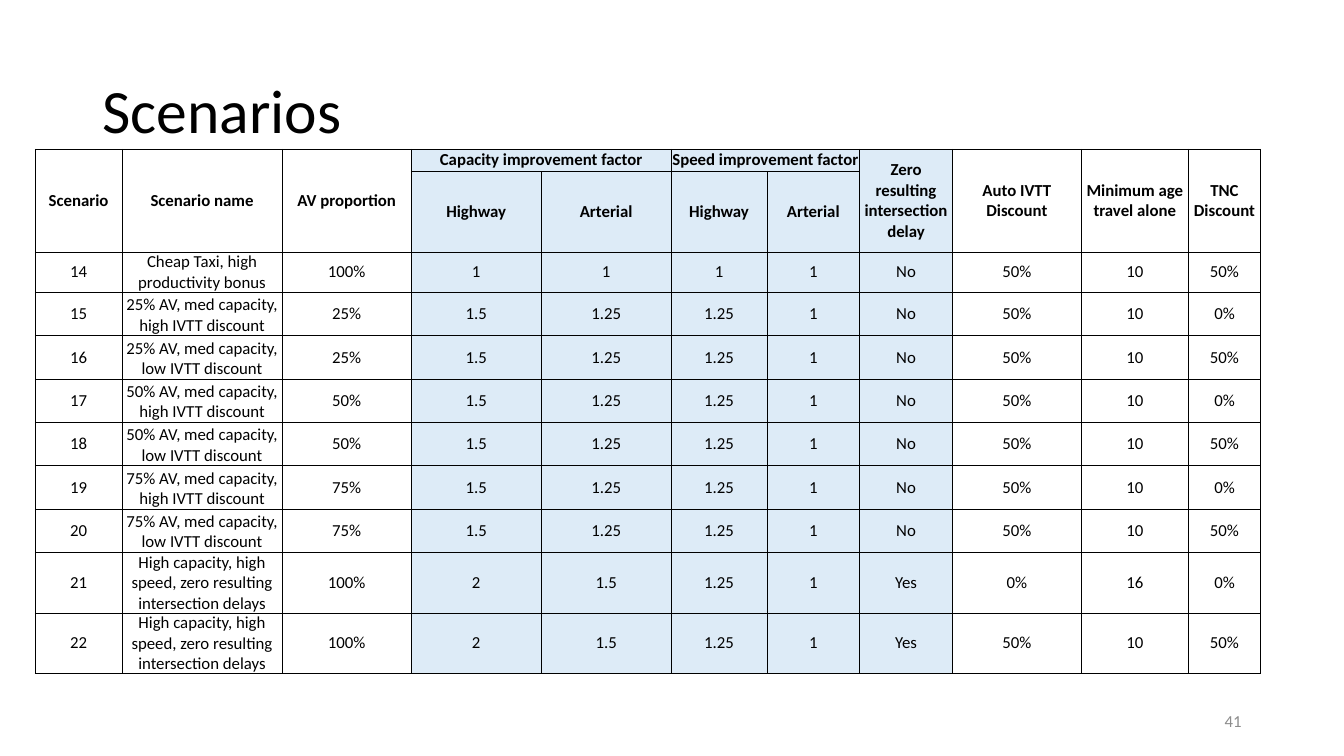
from lxml import etree
from pptx import Presentation, util as u
from pptx.dml.color import RGBColor
from pptx.enum import text
from pptx.oxml import ns

BLACK = RGBColor(0x00, 0x00, 0x00)
GRAY = RGBColor(0x8C, 0x8C, 0x8C)
PALE_BLUE = RGBColor(0xDD, 0xEB, 0xF7)
MIDDLE, BOTTOM = text.MSO_ANCHOR.MIDDLE, text.MSO_ANCHOR.BOTTOM
LEFT, CENTER, RIGHT = text.PP_ALIGN.LEFT, text.PP_ALIGN.CENTER, text.PP_ALIGN.RIGHT

NAME_COLUMN = 1
SHADED_COLUMNS = range(3, 8)
HEADER_ROWS = 2
COLUMN_SPANS = [10.32, 19.08, 15.36, 15.48, 15.48, 11.4, 11.04, 11.04, 15.36, 12.72, 8.64]
ROW_SPANS = [2.64, 5.64, 4.2] + [5.16] * 6 + [6.84] * 2
MERGES = [(0, column, 1, column) for column in (0, 1, 2, 7, 8, 9, 10)]
MERGES += [(0, 3, 0, 4), (0, 5, 0, 6)]

HEADERS = [
    ["Scenario", "Scenario name", "AV proportion", "Capacity improvement factor", "",
     "Speed improvement factor", "", "Zero resulting intersection delay",
     "Auto IVTT Discount", "Minimum age travel alone", "TNC Discount"],
    ["", "", "", "Highway", "Arterial", "Highway", "Arterial", "", "", "", ""],
]
MEDIUM = ["1.5", "1.25", "1.25", "1", "No", "50%", "10"]
HIGH = ["2", "1.5", "1.25", "1", "Yes"]
HIGH_NAME = "High capacity, high speed, zero resulting intersection delays"
SCENARIOS = [
    ["14", "Cheap Taxi, high productivity bonus", "100%",
     "1", "1", "1", "1", "No", "50%", "10", "50%"],
    ["15", "25% AV, med capacity, high IVTT discount", "25%", *MEDIUM, "0%"],
    ["16", "25% AV, med capacity, low IVTT discount", "25%", *MEDIUM, "50%"],
    ["17", "50% AV, med capacity, high IVTT discount", "50%", *MEDIUM, "0%"],
    ["18", "50% AV, med capacity, low IVTT discount", "50%", *MEDIUM, "50%"],
    ["19", "75% AV, med capacity, high IVTT discount", "75%", *MEDIUM, "0%"],
    ["20", "75% AV, med capacity, low IVTT discount", "75%", *MEDIUM, "50%"],
    ["21", HIGH_NAME, "100%", *HIGH, "0%", "16", "0%"],
    ["22", HIGH_NAME, "100%", *HIGH, "50%", "10", "50%"],
]


class GridSlide:
    """Draws styled elements on a slide divided into 160 columns and 90 rows."""

    font_name = "Calibri"
    border_width = u.Pt(0.5)

    def __init__(self, presentation):
        self.column = presentation.slide_width / 160
        self.row = presentation.slide_height / 90
        self.slide = presentation.slides.add_slide(presentation.slide_layouts[6])

    def across(self, columns):
        return round(columns * self.column)

    def down(self, rows):
        return round(rows * self.row)

    def area(self, left, top, width, height):
        return self.across(left), self.down(top), self.across(width), self.down(height)

    def add_words(self, frame, words, size, color=BLACK, align=LEFT, bold=False):
        paragraph = frame.paragraphs[0]
        paragraph.alignment = align
        if words:
            run = paragraph.add_run()
            run.text = words
            run.font.name = self.font_name
            run.font.size = u.Pt(size)
            run.font.bold = bold
            run.font.color.rgb = color
        return paragraph

    def text_box(self, area, words, size, color=BLACK, align=LEFT, line_spacing=1.0):
        frame = self.slide.shapes.add_textbox(*self.area(*area)).text_frame
        frame.word_wrap = True
        frame.vertical_anchor = MIDDLE
        self.add_words(frame, words, size, color, align).line_spacing = line_spacing

    def border(self, cell):
        properties = cell._tc.get_or_add_tcPr()
        for side in ("a:lnL", "a:lnR", "a:lnT", "a:lnB"):
            line = etree.SubElement(properties, ns.qn(side), w=str(self.border_width))
            fill = etree.SubElement(line, ns.qn("a:solidFill"))
            etree.SubElement(fill, ns.qn("a:srgbClr"), val=str(BLACK))

    def cell(self, cell, words, bold, anchor, shaded):
        cell.margin_left = cell.margin_right = cell.margin_top = cell.margin_bottom = 0
        cell.vertical_anchor = anchor
        self.border(cell)
        if shaded:
            cell.fill.solid()
            cell.fill.fore_color.rgb = PALE_BLUE
        else:
            cell.fill.background()
        self.add_words(cell.text_frame, words, 12, align=CENTER, bold=bold)

    def table(self, left, top, column_spans, row_spans, rows, merges):
        area = self.area(left, top, sum(column_spans), sum(row_spans))
        table = self.slide.shapes.add_table(len(row_spans), len(column_spans), *area).table
        table.first_row = table.horz_banding = False
        for column, span in zip(table.columns, column_spans):
            column.width = self.across(span)
        for row, span in zip(table.rows, row_spans):
            row.height = self.down(span)
        for row_index, row in enumerate(rows):
            header = row_index < HEADER_ROWS
            for column_index, words in enumerate(row):
                anchor = BOTTOM if column_index == NAME_COLUMN and not header else MIDDLE
                self.cell(table.cell(row_index, column_index), words, header, anchor,
                          column_index in SHADED_COLUMNS)
        for first_row, first_column, last_row, last_column in merges:
            table.cell(first_row, first_column).merge(table.cell(last_row, last_column))


def main():
    presentation = Presentation()
    presentation.slide_width = u.Inches(13.33)
    presentation.slide_height = u.Inches(7.5)
    slide = GridSlide(presentation)
    slide.text_box((11, 4.8, 138, 17.4), "Scenarios", 44, line_spacing=0.9)
    slide.text_box((113, 83.4, 36, 4.8), "41", 12, GRAY, RIGHT)
    slide.table(4.2, 17.76, COLUMN_SPANS, ROW_SPANS, HEADERS + SCENARIOS, MERGES)
    presentation.save("out.pptx")


if __name__ == "__main__":
    main()
